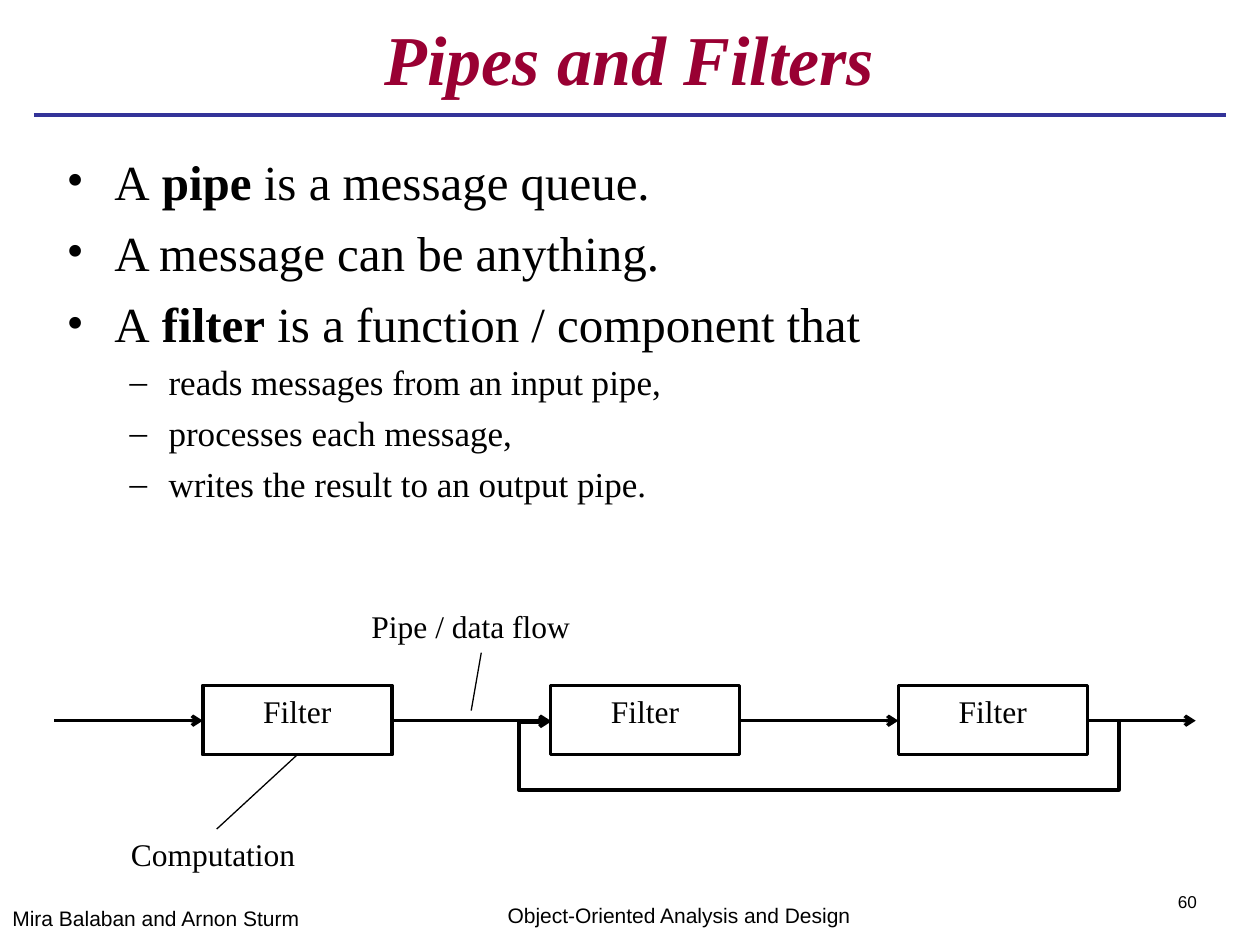
from lxml import etree
from pptx import Presentation
from pptx.dml.color import RGBColor
from pptx.enum.shapes import MSO_CONNECTOR, MSO_SHAPE
from pptx.enum.text import MSO_ANCHOR, PP_ALIGN
from pptx.oxml.ns import qn
from pptx.util import Inches, Pt

BLACK = RGBColor(0, 0, 0)
WHITE = RGBColor(255, 255, 255)
WINE = RGBColor(0x99, 0, 0x33)
NAVY = RGBColor(0x33, 0x33, 0x99)
SERIF, SANS = "Times New Roman", "Arial"
LEFT, CENTER = PP_ALIGN.LEFT, PP_ALIGN.CENTER
TOP, MIDDLE = MSO_ANCHOR.TOP, MSO_ANCHOR.MIDDLE
STRAIGHT, RECT = MSO_CONNECTOR.STRAIGHT, MSO_SHAPE.RECTANGLE

# Body lines: level and runs; every second run is bold
POINTS = [
    (0, ["A\u00a0", "pipe", "\u00a0is a message queue."]),
    (0, ["A message can be anything."]),
    (0, ["A\u00a0", "filter", "\u00a0is a function / component that"]),
    (1, ["reads messages from an input pipe,"]),
    (1, ["processes each message,"]),
    (1, ["writes the result to an output pipe."]),
]
# Per level: bullet, text indent, hanging indent, size, space before
LEVELS = [("•", 0.38, 0.38, 28, 7), ("–", 0.81, 0.31, 20, 5)]

# Flow diagram grid
BOX_X, BOX_W, STEP = 1.61, 1.5, 2.76
BOX_Y, BOX_H = 5.44, 0.55
FLOW_Y = 5.72


def put_text(frame, text, size=18, font=SERIF, color=BLACK, bold=False,
             italic=False, align=LEFT, anchor=TOP, spacing=None):
    frame.word_wrap = True
    frame.vertical_anchor = anchor
    para = frame.paragraphs[0]
    para.text = text
    para.alignment = align
    para.line_spacing = spacing
    style = para.runs[0].font
    style.name, style.size, style.color.rgb = font, Pt(size), color
    style.bold, style.italic = bold, italic


def add_label(slide, x, y, w, h, text, **format):
    box = slide.shapes.add_textbox(Inches(x), Inches(y), Inches(w), Inches(h))
    put_text(box.text_frame, text, **format)


def add_head(shape):
    line = shape.line._get_or_add_ln()
    etree.SubElement(line, qn("a:tailEnd"), type="arrow")


def add_line(slide, start, end, width=2, color=BLACK, head=False):
    line = slide.shapes.add_connector(
        STRAIGHT, *[Inches(v) for v in (*start, *end)])
    line.line.color.rgb = color
    line.line.width = Pt(width)
    etree.SubElement(line._element.spPr, qn("a:effectLst"))
    if head:
        add_head(line)


def add_filter(slide, x):
    box = slide.shapes.add_shape(
        RECT, Inches(x), Inches(BOX_Y), Inches(BOX_W), Inches(BOX_H))
    box.shadow.inherit = False
    box.fill.solid()
    box.fill.fore_color.rgb = WHITE
    box.line.color.rgb = BLACK
    box.line.width = Pt(2)
    put_text(box.text_frame, "Filter", align=CENTER)


def add_loop(slide, points):
    spots = [(Inches(x), Inches(y)) for x, y in points]
    form = slide.shapes.build_freeform(*spots[0])
    form.add_line_segments(spots[1:], close=False)
    loop = form.convert_to_shape()
    loop.shadow.inherit = False
    loop.fill.background()
    loop.line.color.rgb = BLACK
    loop.line.width = Pt(2)
    add_head(loop)


def add_body(slide):
    box = slide.shapes.add_textbox(
        Inches(0.43), Inches(1.15), Inches(9), Inches(3.07))
    frame = box.text_frame
    frame.word_wrap = True
    for i, (level, parts) in enumerate(POINTS):
        mark, indent, hang, size, before = LEVELS[level]
        para = frame.add_paragraph() if i else frame.paragraphs[0]
        para.level = level
        para.space_before = Pt(before if i else 0)
        props = para._p.get_or_add_pPr()
        props.set("marL", str(Inches(indent)))
        props.set("indent", str(-Inches(hang)))
        etree.SubElement(props, qn("a:buFont"), typeface=SERIF)
        etree.SubElement(props, qn("a:buChar"), char=mark)
        for j, part in enumerate(parts):
            run = para.add_run()
            run.text = part
            run.font.name, run.font.size = SERIF, Pt(size)
            run.font.color.rgb = BLACK
            run.font.bold = j % 2 == 1


def add_flow(slide):
    boxes = [BOX_X + i * STEP for i in range(3)]
    for x in boxes:
        add_filter(slide, x)
    # Pipes into, between and out of the filters
    starts = [0.43] + [x + BOX_W for x in boxes]
    for start, end in zip(starts, boxes + [9.49]):
        add_line(slide, (start, FLOW_Y), (end, FLOW_Y), head=True)
    # Feedback from the last filter to the second
    out, back, low = boxes[2] + BOX_W, boxes[1], 6.27
    add_loop(slide, [(out, FLOW_Y), (out + 0.25, FLOW_Y), (out + 0.25, low),
                     (back - 0.25, low), (back - 0.25, FLOW_Y + 0.01),
                     (back, FLOW_Y + 0.01)])
    # Callouts
    add_label(slide, 2.85, 4.77, 1.9, 0.4, "Pipe / data flow")
    add_line(slide, (3.82, 5.18), (3.74, 5.64), width=0.75)
    add_label(slide, 0.94, 6.58, 1.65, 0.4, "Computation")
    add_line(slide, (1.72, 6.58), (2.36, 5.99), width=0.75)


def main():
    deck = Presentation()
    deck.slide_width, deck.slide_height = Inches(10), Inches(7.5)
    slide = deck.slides.add_slide(deck.slide_layouts[5])

    # Title and rule
    title = slide.shapes.title
    title.left, title.top = Inches(0.27), Inches(0)
    title.width, title.height = Inches(9.45), Inches(0.91)
    put_text(title.text_frame, "Pipes and Filters", size=40, color=WINE,
             bold=True, italic=True, align=CENTER, anchor=MIDDLE)
    add_line(slide, (0.27, 0.91), (9.73, 0.91), width=2.25, color=NAVY)

    add_body(slide)
    add_flow(slide)

    # Footer
    add_label(slide, 0, 7.14, 2.95, 0.36, "Mira Balaban and Arnon Sturm",
              size=12, font=SANS)
    add_label(slide, 2.95, 7.11, 4.88, 0.39,
              "Object-Oriented Analysis and Design",
              size=12, font=SANS, align=CENTER)
    add_label(slide, 9.25, 7.06, 0.98, 0.28, "60", size=9.8, font=SANS,
              spacing=0.8)
    deck.save("out.pptx")


if __name__ == "__main__":
    main()
